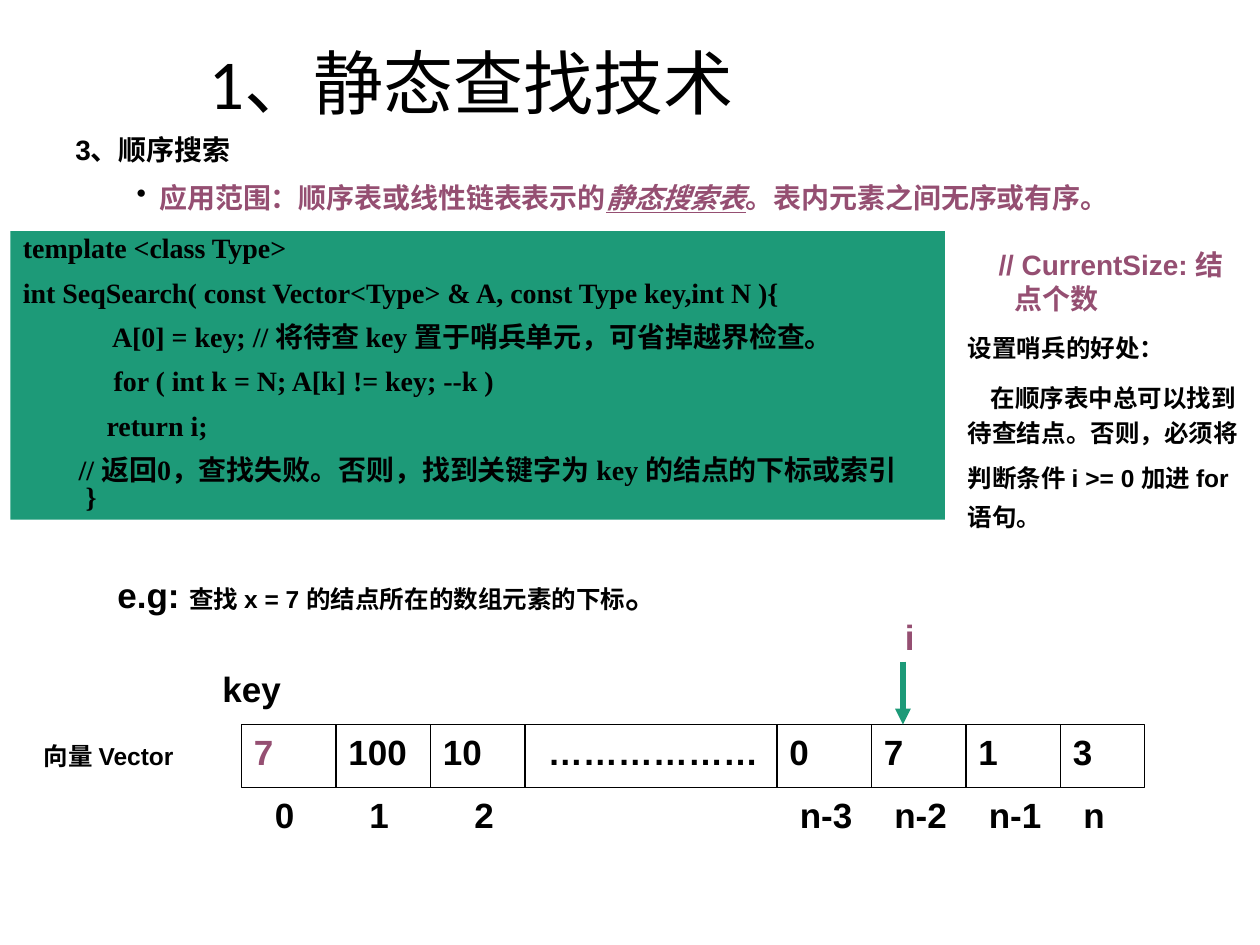
from dataclasses import dataclass
from itertools import accumulate

from lxml import etree
from pptx import Presentation
from pptx.dml.color import RGBColor
from pptx.enum.shapes import MSO_CONNECTOR, MSO_SHAPE
from pptx.enum.text import MSO_ANCHOR, MSO_AUTO_SIZE, PP_ALIGN
from pptx.oxml.ns import qn
from pptx.util import Pt

RECTANGLE = MSO_SHAPE.RECTANGLE
STRAIGHT = MSO_CONNECTOR.STRAIGHT
TOP, MIDDLE = MSO_ANCHOR.TOP, MSO_ANCHOR.MIDDLE
GROW, FIXED = MSO_AUTO_SIZE.SHAPE_TO_FIT_TEXT, MSO_AUTO_SIZE.NONE
LEFT = PP_ALIGN.LEFT

BLACK, WHITE, PURPLE, GREEN = "000000", "FFFFFF", "954F72", "1D9A78"
SANS, SERIF, CHINESE = "Arial", "Times New Roman", "Noto Sans CJK SC"


@dataclass
class Run:
    text: str
    size: float = 14
    color: str = BLACK
    font: str = SANS
    bold: bool = True
    emphasis: bool = False


@dataclass
class Para:
    runs: list[Run]
    before: float = 0
    spacing: float = 1
    margin: float = 0
    indent: float = 0
    bullet: str = ""


@dataclass
class Cell:
    value: str
    index: str
    width: float = 54
    index_offset: float = 12
    color: str = BLACK


def rgb(color: str) -> RGBColor:
    return RGBColor.from_string(color)


def add_run(paragraph, run: Run) -> None:
    added = paragraph.add_run()
    added.text = run.text
    font = added.font
    font.size, font.name, font.bold = Pt(run.size), run.font, run.bold
    font.color.rgb = rgb(run.color)
    if run.emphasis:
        font.italic = font.underline = True
    latin = font._element.find(qn("a:latin"))
    latin.addnext(latin.makeelement(qn("a:ea"), {"typeface": CHINESE}))


def write(frame, paras: list[Para], anchor=TOP, auto_size=GROW) -> None:
    frame.word_wrap = True
    frame.auto_size = auto_size
    frame.vertical_anchor = anchor
    for number, para in enumerate(paras):
        paragraph = frame.add_paragraph() if number else frame.paragraphs[0]
        paragraph.alignment = LEFT
        paragraph.line_spacing = para.spacing
        paragraph.space_before = Pt(para.before)
        properties = paragraph._p.get_or_add_pPr()
        properties.set("marL", str(Pt(para.margin)))
        properties.set("indent", str(Pt(para.indent)))
        if para.bullet:
            bullet_color = etree.SubElement(properties, qn("a:buClr"))
            etree.SubElement(bullet_color, qn("a:srgbClr"), val=BLACK)
            etree.SubElement(properties, qn("a:buChar"), char=para.bullet)
        for run in para.runs:
            add_run(paragraph, run)


def add_text(shapes, left: float, top: float, width: float, height: float,
             paras: list[Para]) -> None:
    box = shapes.add_textbox(Pt(left), Pt(top), Pt(width), Pt(height))
    write(box.text_frame, paras)


def add_label(shapes, left: float, top: float, width: float, text: str,
              color: str = BLACK) -> None:
    add_text(shapes, left, top, width, 31.5, [Para([Run(text, 20, color)])])


def add_box(shapes, left: float, top: float, width: float, height: float, fill: str):
    box = shapes.add_shape(RECTANGLE, Pt(left), Pt(top), Pt(width), Pt(height))
    box.shadow.inherit = False
    box.fill.solid()
    box.fill.fore_color.rgb = rgb(fill)
    box.line.fill.background()
    return box


def add_vertical(shapes, x: float, top: float, bottom: float, color: str,
                 weight: float, arrow: bool = False) -> None:
    line = shapes.add_connector(STRAIGHT, Pt(x), Pt(top), Pt(x), Pt(bottom))
    line.line.color.rgb = rgb(color)
    line.line.width = Pt(weight)
    if arrow:
        etree.SubElement(line.line._get_or_add_ln(), qn("a:tailEnd"), type="triangle")
    etree.SubElement(line._element.spPr, qn("a:effectLst"))


def add_vector(shapes, left: float, top: float, cells: list[Cell]) -> None:
    """Draw one row of cells with the index of each below it."""
    height = 36
    edges = list(accumulate((cell.width for cell in cells), initial=left))
    outline = add_box(shapes, left, top, edges[-1] - left, height, WHITE)
    outline.line.color.rgb = rgb(BLACK)
    outline.line.width = Pt(0.75)
    for edge in edges[1:-1]:
        add_vertical(shapes, edge, top, top + height, BLACK, 0.75)
    for cell, edge in zip(cells, edges):
        if cell.index:
            add_label(shapes, edge, top, 48, cell.value, cell.color)
            add_label(shapes, edge + cell.index_offset, top + height,
                      72 if "n" in cell.index else 24, cell.index)
        else:
            add_label(shapes, edge + 6, top, cell.width - 6, cell.value)


def code(text: str) -> Run:
    return Run(text, 16, font=SERIF)


def comment(text: str) -> Run:
    return Run(text, 16, font=CHINESE)


CODE_LINES = [
    [code("template <class Type>")],
    [code("int SeqSearch( const Vector<Type> & A, const Type key,int N ){")],
    [code("             A[0] = key; // "), comment("将待查 "), code("key "),
     comment("置于哨兵单元，可省掉越界检查。")],
    [code("             for ( int k = N; A[k] != key; --k )")],
    [code("            return i;")],
    [code("        // "), comment("返回"), code("0"),
     comment("，查找失败。否则，找到关键字为 "), code("key "),
     comment("的结点的下标或索引")],
    [code("         }")],
]
CELLS = [
    Cell("7", "0", color=PURPLE),
    Cell("100", "1"),
    Cell("10", "2", index_offset=18),
    Cell("………………", "", width=144),
    Cell("0", "n-3", index_offset=6),
    Cell("7", "n-2", index_offset=6),
    Cell("1", "n-1", index_offset=6),
    Cell("3", "n", width=48, index_offset=6),
]


def main() -> None:
    deck = Presentation()
    deck.slide_width, deck.slide_height = Pt(720), Pt(540)
    slide = deck.slides.add_slide(deck.slide_layouts[5])
    shapes = slide.shapes

    title = shapes.title
    title.left, title.top, title.width, title.height = Pt(112), Pt(23), Pt(544), Pt(53)
    write(title.text_frame,
          [Para([Run("1、静态查找技术", 40, font="Calibri", bold=False)], spacing=0.9)],
          MIDDLE, FIXED)

    add_text(shapes, 0, 72, 198, 26.5, [Para([Run("3、顺序搜索", 16)], margin=36)])
    add_text(shapes, 0, 99.5, 702, 26.5, [Para([
        Run("应用范围：顺序表或线性链表表示的", 16, PURPLE),
        Run("静态搜索表", 16, PURPLE, emphasis=True),
        Run("。表内元素之间无序或有序。", 16, PURPLE),
    ], margin=84, indent=-13, bullet="•")])

    add_vector(shapes, 138, 414, CELLS)
    pointer = shapes.add_group_shape().shapes
    add_label(pointer, 510, 348, 24, "i", PURPLE)
    add_vertical(pointer, 516, 378, 414, GREEN, 3, arrow=True)
    add_text(shapes, 18, 420, 102, 24.5, [Para([Run("向量 Vector")])])
    add_label(shapes, 120, 378, 72, "key")
    add_text(shapes, 60, 324, 504, 31.5, [Para([
        Run("e.g: ", 20), Run("查找 x = 7 的结点所在的数组元素的下标"), Run("。", 20),
    ])])

    add_text(shapes, 546, 186.5, 174, 121, [
        Para([Run("设置哨兵的好处：")]),
        Para([Run("在顺序表中总可以找到待查结点。否则，必须将")], 8.8, 1.2, indent=13),
        Para([Run("判断条件 i >= 0 加进 for")], 8.8),
        Para([Run("语句。")], 8.8, 0.8),
    ])
    add_text(shapes, 558, 138, 156, 49, [
        Para([Run("// CurrentSize: 结", 16, PURPLE)], margin=5.5),
        Para([Run("点个数", 16, PURPLE)], 10, 0.4, margin=14.5),
    ])

    listing = add_box(shapes, 6, 132, 534, 165, GREEN)
    last = len(CODE_LINES) - 1
    write(listing.text_frame, [
        Para(runs, 0 if number in (0, last) else 10, 0.8)
        for number, runs in enumerate(CODE_LINES)
    ])
    deck.save("out.pptx")


if __name__ == "__main__":
    main()
